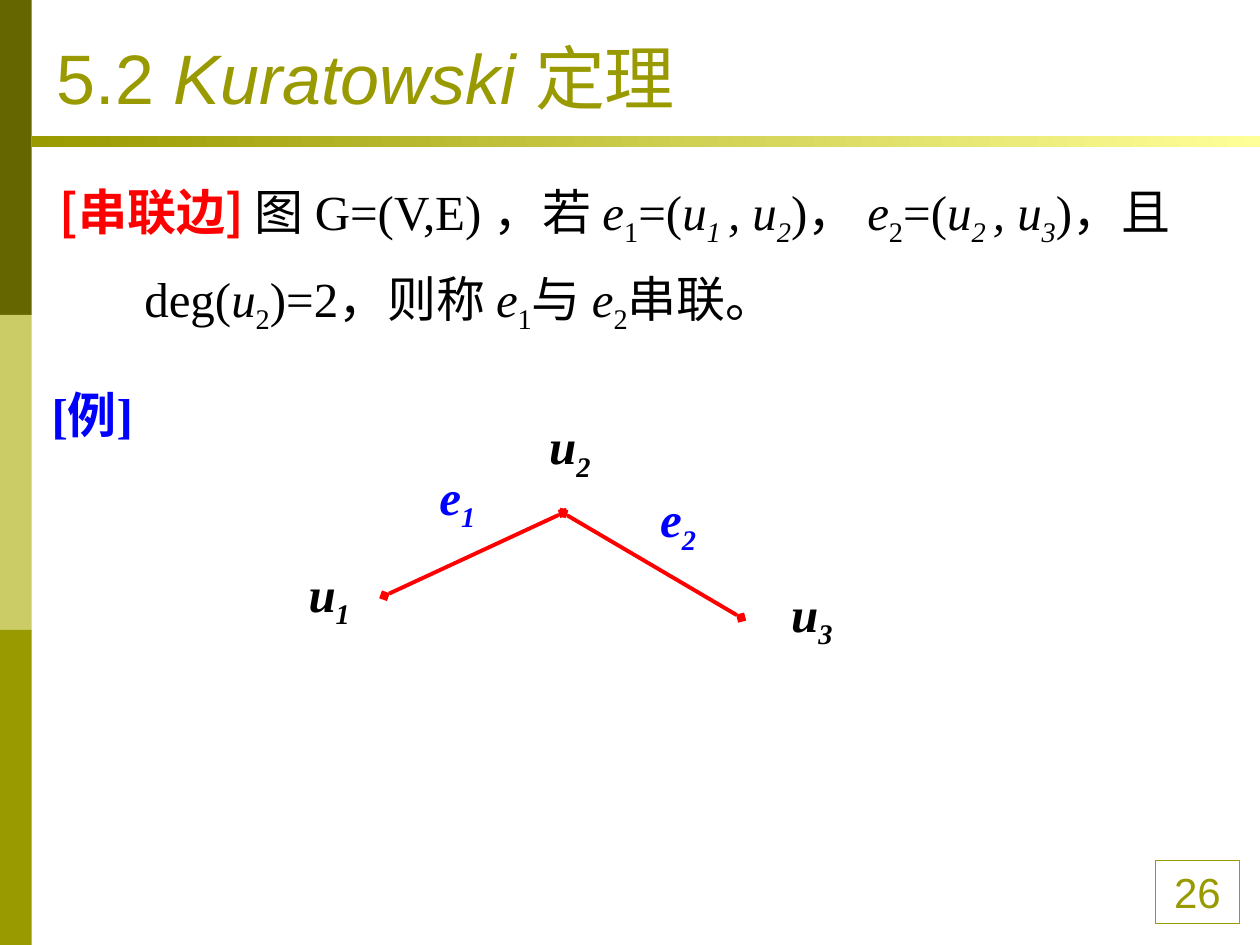
from lxml.etree import SubElement
from pptx import Presentation
from pptx.dml.color import RGBColor
from pptx.enum.shapes import MSO_CONNECTOR, MSO_SHAPE
from pptx.enum.text import MSO_ANCHOR, PP_ALIGN
from pptx.oxml.ns import qn
from pptx.util import Cm, Pt

COLOURS = {
    "dark olive": "666600",
    "pale olive": "CCCC66",
    "olive": "999900",
    "yellow": "FFFF99",
    "red": "FF0000",
    "blue": "0000FF",
    "black": "000000",
}
SANS, SERIF, CHINESE = "Arial", "Times New Roman", "Noto Sans CJK SC"

# Styles: i = italic, s = subscript
DEFINITION = [
    ("图 G=(V,E) ，若 ", ""), ("e", "i"), ("1", "s"), ("=(", ""),
    ("u", "i"), ("1 ", "is"), (", u", "i"), ("2", "is"), (")， ", ""),
    ("e", "i"), ("2", "s"), ("=(", ""),
    ("u", "i"), ("2 ", "is"), (", u", "i"), ("3", "is"), (")，且 deg(", ""),
    ("u", "i"), ("2", "s"), (")=2，则称 ", ""),
    ("e", "i"), ("1", "s"), ("与 ", ""), ("e", "i"), ("2", "s"), ("串联。", ""),
]
PATH_POINTS = [(7.75, 12.01), (11.35, 10.34), (14.94, 12.45)]
PATH_LABELS = [
    ("e", "1", "blue", 8.61, 9.27),
    ("e", "2", "blue", 13.06, 9.73),
    ("u", "1", "black", 5.97, 11.23),
    ("u", "2", "black", 10.82, 8.26),
    ("u", "3", "black", 15.7, 11.63),
]


def rgb(colour):
    return RGBColor.from_string(COLOURS[colour])


def add_span(para, text, size, font, colour, style="", bold=False):
    """Add one run; style may hold i for italic and s for subscript."""
    span = para.add_run()
    span.text = text
    span.font.size = Pt(size)
    span.font.name = font
    span.font.bold = bold
    span.font.italic = "i" in style
    span.font.color.rgb = rgb(colour)
    properties = span._r.get_or_add_rPr()
    SubElement(properties, qn("a:ea"), typeface=CHINESE)
    if "s" in style:
        properties.set("baseline", "-25000")


def add_text_box(shapes, left, top, width, height):
    """Add a text box and return its frame."""
    frame = shapes.add_textbox(Cm(left), Cm(top), Cm(width), Cm(height)).text_frame
    frame.word_wrap = True
    return frame


def add_bar(page, left, top, width, height):
    """Add a rectangle without outline and return it."""
    bar = page.shapes.add_shape(
        MSO_SHAPE.RECTANGLE, Cm(left), Cm(top), Cm(width), Cm(height))
    bar.shadow.inherit = False
    bar.line.fill.background()
    return bar


def add_decoration(page):
    for index, colour in enumerate(("dark olive", "pale olive", "olive")):
        band = add_bar(page, 0, 6.35 * index, 0.64, 6.35)
        band.fill.solid()
        band.fill.fore_color.rgb = rgb(colour)
    rule = add_bar(page, 0.64, 2.74, 24.76, 0.23)
    rule.fill.gradient()
    rule.fill.gradient_angle = 0
    for stop, colour in zip(rule.fill.gradient_stops, ("olive", "yellow")):
        stop.color.rgb = rgb(colour)


def add_page_number(page):
    box = add_bar(page, 23.29, 17.35, 1.7, 1.27)
    box.fill.background()
    box.line.color.rgb = rgb("olive")
    box.line.width = Pt(0.75)
    box.text_frame.vertical_anchor = MSO_ANCHOR.MIDDLE
    para = box.text_frame.paragraphs[0]
    para.alignment = PP_ALIGN.CENTER
    add_span(para, "26", 24, SANS, "olive")


def add_title(page):
    frame = add_text_box(page.shapes, 0.9, 0.33, 22.86, 2.18)
    frame.vertical_anchor = MSO_ANCHOR.BOTTOM
    for text, style in (("5.2 ", ""), ("Kuratowski ", "i"), ("定理", "")):
        add_span(frame.paragraphs[0], text, 40, SANS, "olive", style)


def add_definition(page):
    frame = add_text_box(page.shapes, 0.96, 3.13, 23.6, 3.76)
    para = frame.paragraphs[0]
    para.line_spacing = 1.3
    indent = Cm(1.7)
    properties = para._p.get_or_add_pPr()
    properties.set("marL", str(indent))
    properties.set("indent", str(-indent))
    add_span(para, "[串联边] ", 28, CHINESE, "red", bold=True)
    for text, style in DEFINITION:
        add_span(para, text, 28, SERIF, "black", style)


def add_edge(shapes, start, end):
    """Add a red line with a diamond at each end."""
    edge = shapes.add_connector(
        MSO_CONNECTOR.STRAIGHT, *(Cm(value) for value in start + end))
    edge.line.color.rgb = rgb("red")
    edge.line.width = Pt(2.25)
    line = edge.line._get_or_add_ln()
    for tag in ("a:headEnd", "a:tailEnd"):
        SubElement(line, qn(tag), type="diamond", w="med", len="med")
    SubElement(edge._element.spPr, qn("a:effectLst"))


def add_example(page):
    heading = add_text_box(page.shapes, 0.79, 7.62, 3, 1.45)
    add_span(heading.paragraphs[0], "[例]", 28, SERIF, "blue", bold=True)
    graph = page.shapes.add_group_shape().shapes
    for start, end in zip(PATH_POINTS, PATH_POINTS[1:]):
        add_edge(graph, start, end)
    for letter, index, colour, left, top in PATH_LABELS:
        para = add_text_box(graph, left, top, 1.6, 1.5).paragraphs[0]
        add_span(para, letter, 28, SERIF, colour, "i", bold=True)
        add_span(para, index, 28, SERIF, colour, "is", bold=True)


def main():
    deck = Presentation()
    deck.slide_width, deck.slide_height = Cm(25.4), Cm(19.05)
    page = deck.slides.add_slide(deck.slide_layouts[6])
    add_decoration(page)
    add_page_number(page)
    add_definition(page)
    add_example(page)
    add_title(page)
    deck.save("out.pptx")


if __name__ == "__main__":
    main()
